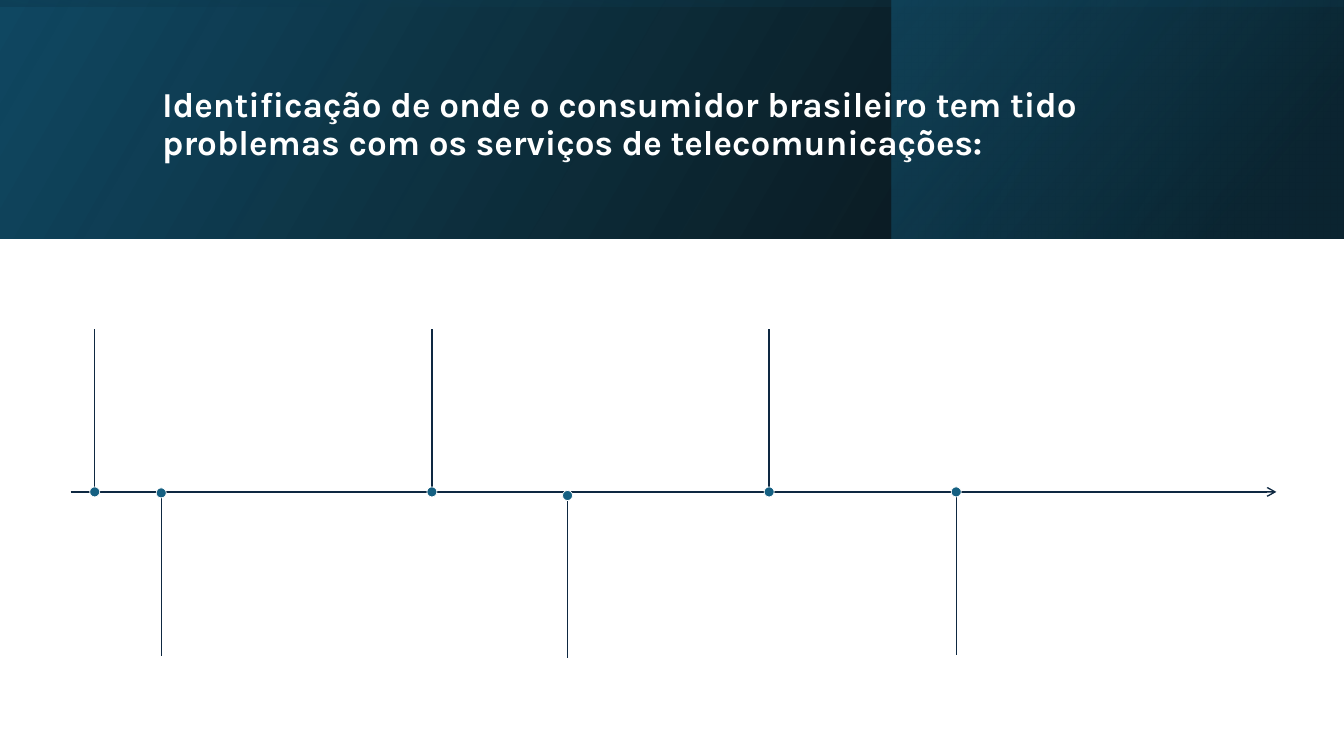
from typing import NamedTuple

from lxml import etree
from pptx import Presentation
from pptx.dml.color import RGBColor
from pptx.enum.shapes import MSO_CONNECTOR, MSO_SHAPE
from pptx.enum.text import MSO_ANCHOR, PP_ALIGN
from pptx.oxml.ns import qn
from pptx.shapes.autoshape import Shape
from pptx.shapes.connector import Connector
from pptx.shapes.shapetree import SlideShapes
from pptx.util import Inches, Length, Pt

RECTANGLE = MSO_SHAPE.RECTANGLE
OVAL = MSO_SHAPE.OVAL
STRAIGHT = MSO_CONNECTOR.STRAIGHT
MIDDLE = MSO_ANCHOR.MIDDLE
LEFT = PP_ALIGN.LEFT

BLACK = RGBColor(0x00, 0x00, 0x00)
WHITE = RGBColor(0xFF, 0xFF, 0xFF)
NAVY = RGBColor(0x0E, 0x28, 0x41)
DEEP_BLUE = RGBColor(0x0B, 0x30, 0x41)
DARK_TEAL = RGBColor(0x10, 0x48, 0x62)
TEAL = RGBColor(0x15, 0x60, 0x82)

# The slide is a grid of 100 columns by 100 rows.
SLIDE_WIDTH, SLIDE_HEIGHT = Inches(13.33), Inches(7.5)
HEADER_ROWS = 31.6
AXIS_ROW = 65.07
AXIS_START, AXIS_END = 5.25, 94.97
STEM_ROWS = 21.55
UPPER_START, UPPER_STEP = 7.05, 25.09
DOT_SIZE = Inches(0.1)

TITLE = ("Identificação de onde o consumidor brasileiro tem tido "
         "problemas com os serviços de telecomunicações:")


class Stop(NamedTuple):
    position: float
    color: RGBColor
    opacity: int


class Band(NamedTuple):
    column: float
    columns: float
    angle: int
    stops: tuple[Stop, Stop]
    rotation: int = 0


class Milestone(NamedTuple):
    column: float
    row: float
    direction: int


HEADER_BANDS = (
    Band(0, 100, 330, (Stop(0, BLACK, 96), Stop(1, DARK_TEAL, 100))),
    Band(66.32, 33.61, 320, (Stop(0.19, DEEP_BLUE, 68), Stop(1, TEAL, 48))),
    Band(0, 100, 350, (Stop(0.23, DARK_TEAL, 16), Stop(0.99, BLACK, 45)), 270),
)
UPPER_MILESTONES = tuple(
    Milestone(UPPER_START + i * UPPER_STEP, AXIS_ROW, -1) for i in range(3))
LOWER_MILESTONES = (
    Milestone(12, 65.2, 1),
    Milestone(42.23, 65.55, 1),
    Milestone(71.15, AXIS_ROW, 1),
)


def across(columns: float) -> Length:
    return Length(round(SLIDE_WIDTH * columns / 100))


def down(rows: float) -> Length:
    return Length(round(SLIDE_HEIGHT * rows / 100))


def fill_gradient(shape: Shape, band: Band) -> None:
    shape.fill.gradient()
    for gradient_stop, stop in zip(shape.fill.gradient_stops, band.stops):
        gradient_stop.color.rgb = stop.color
        gradient_stop.position = stop.position
    gradient = shape._element.spPr.find(qn("a:gradFill"))
    gradient.find(qn("a:lin")).set("ang", str(band.angle * 60000))
    for color, stop in zip(gradient.iter(qn("a:srgbClr")), band.stops):
        etree.SubElement(color, qn("a:alpha")).set("val", str(stop.opacity * 1000))


def add_band(shapes: SlideShapes, band: Band) -> None:
    """Draw a mirrored header band; a quarter turn swaps its sides about its centre."""
    left, width, height = across(band.column), across(band.columns), down(HEADER_ROWS)
    top = 0
    if band.rotation:
        shift = (width - height) // 2
        left, top = left + shift, -shift
        width, height = height, width
    shape = shapes.add_shape(RECTANGLE, left, top, width, height)
    shape.rotation = band.rotation
    shape._element.spPr.find(qn("a:xfrm")).set("flipH", "1")
    shape.shadow.inherit = False
    shape.line.fill.background()
    fill_gradient(shape, band)


def add_title(shapes: SlideShapes) -> None:
    box = shapes.add_textbox(across(11.33), down(5.07), across(79.74), down(22.93))
    frame = box.text_frame
    frame.word_wrap = True
    frame.vertical_anchor = MIDDLE
    paragraph = frame.paragraphs[0]
    paragraph.alignment = LEFT
    paragraph.line_spacing = 0.9
    run = paragraph.add_run()
    run.text = TITLE
    run.font.name = "Karla"
    run.font.size = Pt(25)
    run.font.bold = True
    run.font.color.rgb = WHITE


def add_line(shapes: SlideShapes, start: tuple[float, float],
             end: tuple[float, float], weight: float) -> Connector:
    line = shapes.add_connector(STRAIGHT, across(start[0]), down(start[1]),
                                across(end[0]), down(end[1]))
    line.line.color.rgb = NAVY
    line.line.width = Pt(weight)
    etree.SubElement(line._element.spPr, qn("a:effectLst"))
    return line


def add_axis(shapes: SlideShapes) -> None:
    axis = add_line(shapes, (AXIS_START, AXIS_ROW), (AXIS_END, AXIS_ROW), 0.95)
    outline = axis._element.spPr.find(qn("a:ln"))
    etree.SubElement(outline, qn("a:tailEnd")).set("type", "arrow")


def add_milestone(shapes: SlideShapes, milestone: Milestone) -> None:
    column, row, direction = milestone
    add_line(shapes, (column, row), (column, row + direction * STEM_ROWS), 1)
    dot = shapes.add_shape(OVAL, across(column) - DOT_SIZE // 2,
                           down(row) - DOT_SIZE // 2, DOT_SIZE, DOT_SIZE)
    dot.shadow.inherit = False
    dot.fill.solid()
    dot.fill.fore_color.rgb = TEAL
    dot.line.color.rgb = WHITE
    dot.line.width = Pt(0.5)


def main() -> None:
    presentation = Presentation()
    presentation.slide_width = SLIDE_WIDTH
    presentation.slide_height = SLIDE_HEIGHT
    slide = presentation.slides.add_slide(presentation.slide_layouts[6])
    slide.background.fill.solid()
    slide.background.fill.fore_color.rgb = WHITE
    for band in HEADER_BANDS:
        add_band(slide.shapes, band)
    add_title(slide.shapes)
    add_axis(slide.shapes)
    for milestone in sorted(UPPER_MILESTONES + LOWER_MILESTONES):
        add_milestone(slide.shapes, milestone)
    presentation.save("out.pptx")


if __name__ == "__main__":
    main()
